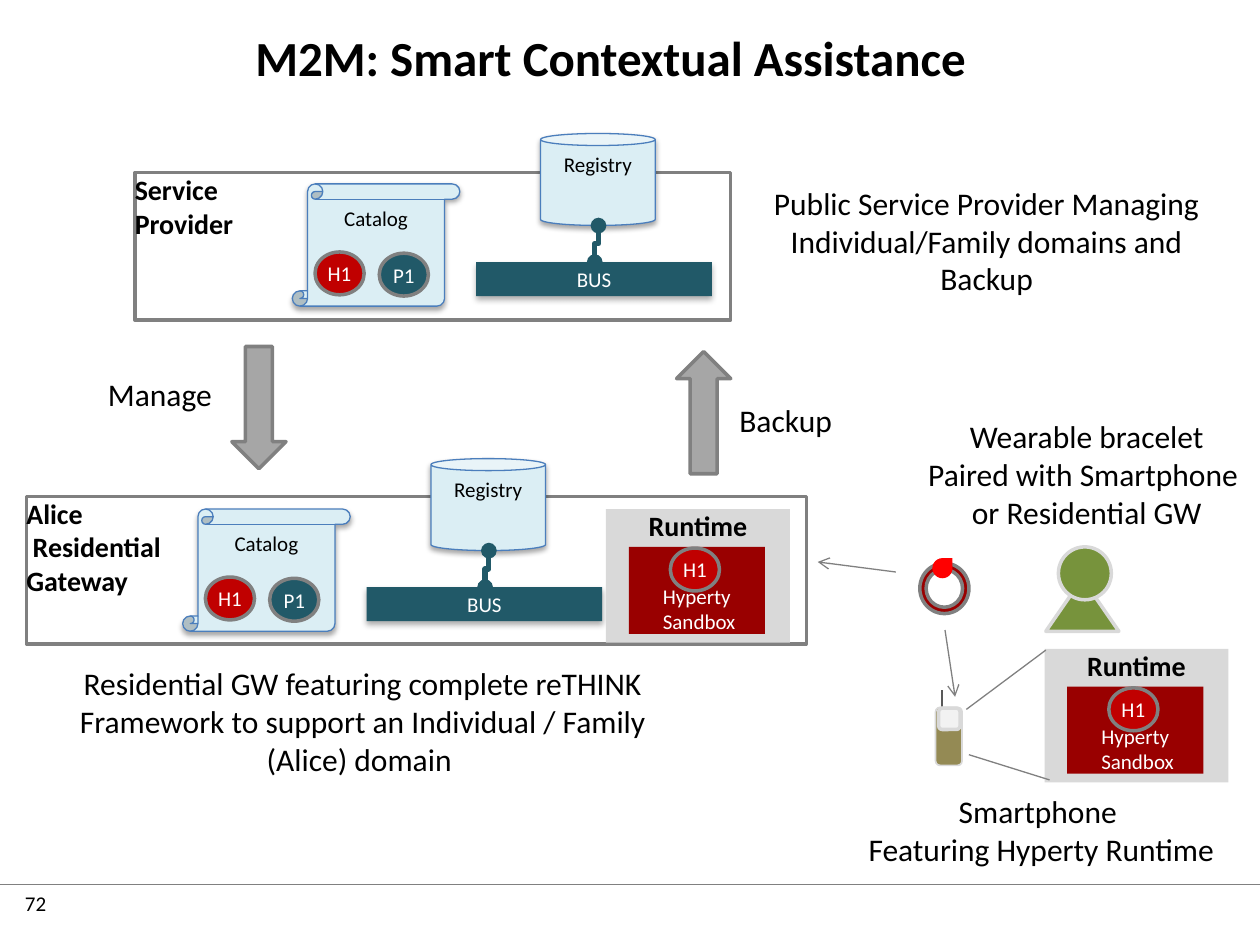
from lxml import etree
from pptx import Presentation
from pptx.dml.color import RGBColor
from pptx.enum.shapes import MSO_CONNECTOR, MSO_SHAPE
from pptx.enum.text import MSO_ANCHOR, MSO_AUTO_SIZE, PP_ALIGN
from pptx.oxml.ns import qn
from pptx.util import Inches, Pt

LEFT, CENTER, RIGHT = PP_ALIGN.LEFT, PP_ALIGN.CENTER, PP_ALIGN.RIGHT
TOP, MIDDLE, BOTTOM = MSO_ANCHOR.TOP, MSO_ANCHOR.MIDDLE, MSO_ANCHOR.BOTTOM
RECT, OVAL, ROUND = MSO_SHAPE.RECTANGLE, MSO_SHAPE.OVAL, MSO_SHAPE.ROUNDED_RECTANGLE
SCROLL, CAN, ARROW = MSO_SHAPE.VERTICAL_SCROLL, MSO_SHAPE.CAN, MSO_SHAPE.UP_ARROW
TRIANGLE, DONUT = MSO_SHAPE.ISOSCELES_TRIANGLE, MSO_SHAPE.DONUT
TEAR, MINUS = MSO_SHAPE.TEAR, MSO_SHAPE.MATH_MINUS
STRAIGHT, ELBOW = MSO_CONNECTOR.STRAIGHT, MSO_CONNECTOR.ELBOW

FONT = "Calibri"
BLACK, WHITE, GRAY, SILVER = "000000", "FFFFFF", "808080", "D9D9D9"
TEAL, PALE, BLUE = "215968", "DBEEF4", "4B7EBC"
RED, DARK_RED, GREEN, DARK_GRAY = "C00000", "990000", "77933C", "595959"


def rgb(value):
    return RGBColor.from_string(value)


def write(tf, paragraphs, size, color=BLACK, bold=False, align=LEFT, anchor=TOP):
    tf.vertical_anchor = anchor
    for i, text in enumerate(paragraphs):
        p = tf.paragraphs[0] if i == 0 else tf.add_paragraph()
        p.alignment = align
        for j, part in enumerate(text.split("\n")):
            if j:
                p.add_line_break()
            r = p.add_run()
            r.text = part
            r.font.name, r.font.size, r.font.bold = FONT, Pt(size), bold
            r.font.color.rgb = rgb(color)


def shape(s, kind, x, y, w, h, fill=None, line=None, width=2, adj=None, rotation=0):
    sp = s.add_shape(kind, Inches(x), Inches(y), Inches(w), Inches(h))
    sp.shadow.inherit = False
    sp.rotation = rotation
    if adj is not None:
        sp.adjustments[0] = adj
    if fill:
        sp.fill.solid()
        sp.fill.fore_color.rgb = rgb(fill)
    else:
        sp.fill.background()
    if line:
        sp.line.color.rgb = rgb(line)
        sp.line.width = Pt(width)
    else:
        sp.line.fill.background()
    return sp


def add_shadow(sp, alpha, blur, dist):
    effects = sp._element.spPr.find(qn("a:effectLst"))
    shadow = etree.SubElement(effects, qn("a:outerShdw"), blurRad=str(Pt(blur)),
                              dist=str(Pt(dist)), dir="5400000", rotWithShape="0")
    color = etree.SubElement(shadow, qn("a:srgbClr"), val=BLACK)
    etree.SubElement(color, qn("a:alpha"), val=str(alpha * 1000))


def label(sp, paragraphs, size=12, color=WHITE, **style):
    tf = sp.text_frame
    tf.margin_left = tf.margin_right = tf.margin_top = tf.margin_bottom = 0
    tf.word_wrap = False
    write(tf, paragraphs, size, color, **style)


def textbox(s, x, y, w, h, paragraphs, align=CENTER, size=18, wrap=True):
    tf = s.add_textbox(Inches(x), Inches(y), Inches(w), Inches(h)).text_frame
    tf.word_wrap = wrap
    tf.auto_size = MSO_AUTO_SIZE.SHAPE_TO_FIT_TEXT
    write(tf, paragraphs, size, align=align)


def connect(s, x1, y1, x2, y2, kind=STRAIGHT, color=GRAY, width=0.75, head=None, tail=None):
    c = s.add_connector(kind, Inches(x1), Inches(y1), Inches(x2), Inches(y2))
    c.line.color.rgb = rgb(color)
    c.line.width = Pt(width)
    for tag, end in (("a:headEnd", head), ("a:tailEnd", tail)):
        if end:
            etree.SubElement(c.line._get_or_add_ln(), qn(tag), type=end)
    etree.SubElement(c._element.spPr, qn("a:effectLst"))
    return c


def badge(s, x, y, text, fill):
    label(shape(s, OVAL, x, y, 0.39, 0.34, fill, GRAY), [text], align=CENTER, anchor=MIDDLE)


def domain(s, x, y, w, name):
    label(shape(s, RECT, x, y, w, 1.17, line=GRAY), name, 16, BLACK, bold=True)


def services(s, x, y):
    bus = shape(s, RECT, x + 1.46, y + 0.62, 1.87, 0.27, TEAL)
    add_shadow(bus, 32, 3.5, 2.2)
    label(bus, ["BUS"], align=CENTER, anchor=MIDDLE)
    catalog = shape(s, SCROLL, x, y, 1.33, 0.97, PALE, BLUE, 0.75)
    registry = shape(s, CAN, x + 1.97, y - 0.4, 0.91, 0.73, PALE, BLUE, 0.75, adj=0.131)
    for sp, name in ((catalog, "Catalog"), (registry, "Registry")):
        add_shadow(sp, 35, 3.1, 1.8)
        write(sp.text_frame, [name], 12, align=CENTER)
    badge(s, x + 0.18, y + 0.54, "H1", RED)
    link = connect(s, x + 2.27, y + 0.46, x + 2.56, y + 0.49, ELBOW, TEAL, 3, "oval", "oval")
    link._element.spPr.find(qn("a:xfrm")).set("rot", "5400000")
    badge(s, x + 0.69, y + 0.55, "P1", TEAL)


def runtime(s, x, y):
    frame = shape(s, RECT, x, y, 1.46, 1.06, SILVER)
    label(frame, ["Runtime"], 16, BLACK, bold=True, align=CENTER)
    sandbox = shape(s, RECT, x + 0.18, y + 0.3, 1.08, 0.69, DARK_RED)
    label(sandbox, ["Hyperty\n Sandbox"], align=CENTER, anchor=BOTTOM)
    badge(s, x + 0.51, y + 0.31, "H1", RED)


def person(s, x, y):
    shape(s, TRIANGLE, x, y + 0.25, 0.58, 0.42, GREEN, SILVER)
    shape(s, OVAL, x + 0.1, y, 0.42, 0.42, GREEN, SILVER)


def bracelet(s, x, y):
    shape(s, DONUT, x, y + 0.04, 0.39, 0.4, DARK_RED, GRAY, adj=0.129)
    shape(s, TEAR, x + 0.1, y, 0.16, 0.16, "FF0000")


def smartphone(s, x, y):
    shape(s, MINUS, x + 0.05, y + 0.09, 0.25, 0.08, DARK_GRAY, rotation=90)
    shape(s, ROUND, x + 0.15, y + 0.43, 0.17, 0.17, DARK_GRAY)
    shape(s, ROUND, x, y + 0.3, 0.46, 0.21, "948A54", SILVER, 1, rotation=90)
    shape(s, ROUND, x + 0.15, y + 0.18, 0.17, 0.17, "F2F2F2", SILVER)
    runtime(s, x + 0.99, y - 0.29)
    connect(s, x + 0.37, y + 0.19, x + 1, y - 0.28)
    connect(s, x + 0.39, y + 0.55, x + 1.03, y + 0.75)


def title(sp, x, y, w, h, text):
    sp.left, sp.top, sp.width, sp.height = Inches(x), Inches(y), Inches(w), Inches(h)
    write(sp.text_frame, [text], 28, bold=True, align=CENTER, anchor=MIDDLE)


def footer(s, y, number):
    textbox(s, 0.1, y, 0.8, 0.4, [number], LEFT, 12)
    connect(s, 0, y, 10, y)


def main():
    prs = Presentation()
    prs.slide_width, prs.slide_height = Inches(10), Inches(7.5)
    slide = prs.slides.add_slide(prs.slide_layouts[5])
    s = slide.shapes
    footer(s, 7.02, "72")
    title(s.title, 0.91, 0.19, 7.87, 0.52, "M2M: Smart Contextual Assistance")

    person(s.add_group_shape().shapes, 8.3, 4.34)
    bracelet(s.add_group_shape().shapes, 7.3, 4.43)
    domain(s, 0.21, 3.94, 6.19, ["Alice \n Residential", "Gateway"])
    services(s, 1.45, 4.04)
    runtime(s, 4.81, 4.04)
    smartphone(s.add_group_shape().shapes, 7.3, 5.44)
    domain(s, 1.07, 1.37, 4.73, ["Service", "Provider"])
    services(s, 2.32, 1.46)

    shape(s, ARROW, 5.37, 2.79, 0.43, 0.97, "A6A6A6", GRAY)
    shape(s, ARROW, 1.84, 2.75, 0.43, 0.97, "A6A6A6", GRAY, rotation=180)
    connect(s, 7.5, 5, 7.58, 5.53, tail="arrow")
    connect(s, 7.11, 4.54, 6.49, 4.46, tail="arrow")

    textbox(s, 7.25, 3.26, 2.75, 1.01,
            ["Wearable bracelet", "Paired with Smartphone ", "or Residential GW"], wrap=False)
    textbox(s, 6.53, 6.24, 3.47, 0.71, ["Smartphone ", "Featuring Hyperty Runtime"])
    textbox(s, 0, 5.22, 5.76, 1.01,
            ["Residential GW featuring complete reTHINK Framework to support "
             "an Individual / Family", "(Alice) domain "])
    textbox(s, 5.77, 3.13, 1.33, 0.4, ["Backup"], LEFT)
    textbox(s, 0.45, 2.93, 1.33, 0.4, ["Manage"], RIGHT)
    textbox(s, 5.97, 1.41, 3.72, 1.01,
            ["Public Service Provider Managing Individual/Family domains and Backup"])
    prs.save("out.pptx")


if __name__ == "__main__":
    main()
